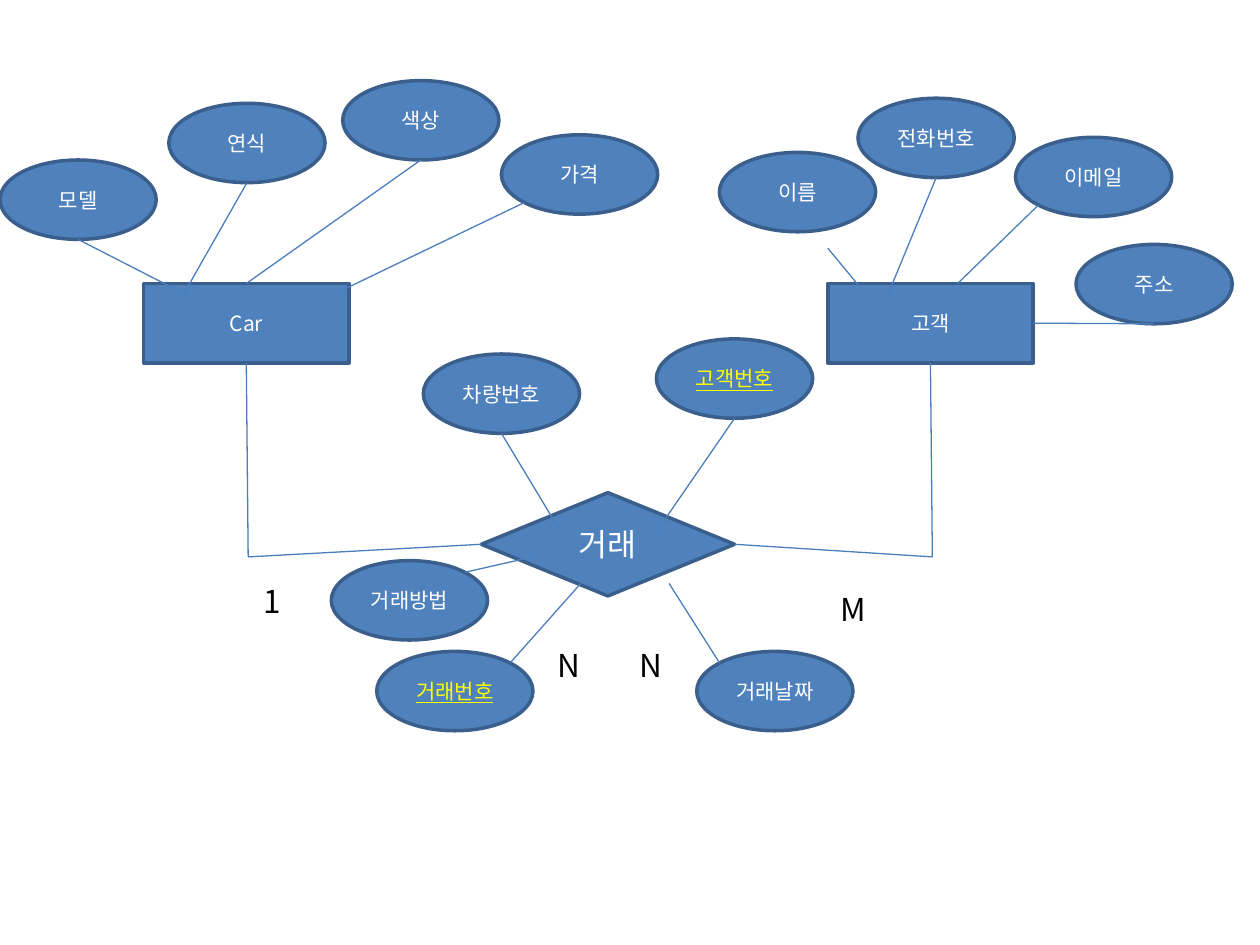
from dataclasses import dataclass
from math import cos, radians, sin

from lxml import etree
from pptx import Presentation
from pptx.dml.color import RGBColor
from pptx.enum.shapes import MSO_CONNECTOR, MSO_SHAPE
from pptx.enum.text import MSO_ANCHOR, MSO_AUTO_SIZE, PP_ALIGN
from pptx.oxml.ns import qn
from pptx.shapes.autoshape import Shape
from pptx.slide import Slide
from pptx.text.text import TextFrame
from pptx.util import Pt

STRAIGHT = MSO_CONNECTOR.STRAIGHT
RECTANGLE, OVAL, DIAMOND = MSO_SHAPE.RECTANGLE, MSO_SHAPE.OVAL, MSO_SHAPE.DIAMOND
MIDDLE = MSO_ANCHOR.MIDDLE
FIT_SHAPE = MSO_AUTO_SIZE.SHAPE_TO_FIT_TEXT
LEFT, CENTER = PP_ALIGN.LEFT, PP_ALIGN.CENTER

FONT = "Noto Sans CJK KR"
COLORS = {
    "fill": "4F81BD",
    "outline": "3A5F8C",
    "link": "4B7EBC",
    "text": "FFFFFF",
    "key": "FFFF00",
    "label": "000000",
}
OVAL_WIDTH, NODE_HEIGHT = 89.28, 45.36
ENTITY_WIDTH = 117.36
TOP, LEFT_SIDE, BOTTOM, RIGHT_SIDE = range(4)
Point = tuple[float, float]


@dataclass(frozen=True)
class Node:
    name: str
    left: float
    top: float
    width: float = ENTITY_WIDTH
    height: float = NODE_HEIGHT
    kind: MSO_SHAPE = RECTANGLE
    size: float = 12


@dataclass(frozen=True)
class Joint:
    node: str
    side: int


End = Point | Joint


@dataclass(frozen=True)
class Attribute:
    name: str
    left: float
    top: float
    target: End | None = None
    angle: float = 90
    key: bool = False

    def rim_point(self) -> Point:
        turn = radians(self.angle)
        return (
            self.left + OVAL_WIDTH / 2 * (1 + cos(turn)),
            self.top + NODE_HEIGHT / 2 * (1 + sin(turn)),
        )


@dataclass(frozen=True)
class Link:
    start: End
    end: End


@dataclass(frozen=True)
class Label:
    text: str
    left: float
    top: float
    width: float


NODES = [
    Node("Car", 82.08, 162),
    Node("고객", 473.04, 162),
    Node("거래", 275.04, 281.52, 144.72, 59.04, DIAMOND, 18),
]
ATTRIBUTES = [
    Attribute("모델", 0, 91.44, (105.12, 167.76)),
    Attribute("연식", 96.48, 59.04, (105.12, 167.76)),
    Attribute("색상", 195.84, 46.08, Joint("Car", TOP)),
    Attribute("가격", 286.56, 77.04, (191.52, 167.76), 135),
    Attribute("이름", 411.12, 87.12),
    Attribute("전화번호", 490.32, 56.16, (507.6, 167.76)),
    Attribute("이메일", 580.32, 78.48, (547.2, 162), 135),
    Attribute("주소", 614.88, 139.68, Joint("고객", RIGHT_SIDE)),
    Attribute("차량번호", 241.92, 202.32, (320.4, 303.84)),
    Attribute("고객번호", 375.12, 193.68, (375.12, 303.84), key=True),
    Attribute("거래번호", 215.28, 372.24, (331.92, 333.36), 315, key=True),
    Attribute("거래날짜", 398.16, 372.24, (382.32, 333.36), 225),
    Attribute("거래방법", 189.36, 320.4, (304.56, 318.24), 315),
]
CAR_CORNER, CUSTOMER_CORNER = (141.84, 318.24), (532.8, 318.24)
LINKS = [
    Link((473.04, 141.84), (490.32, 162.72)),
    Link(Joint("Car", BOTTOM), CAR_CORNER),
    Link(CAR_CORNER, Joint("거래", LEFT_SIDE)),
    Link(Joint("고객", BOTTOM), CUSTOMER_CORNER),
    Link(CUSTOMER_CORNER, Joint("거래", RIGHT_SIDE)),
]
LABELS = [
    Label("1", 143.28, 329.04, 23.76),
    Label("N", 311.76, 365.76, 28.08),
    Label("N", 358.56, 365.76, 28.08),
    Label("M", 473.04, 333.36, 30.96),
]


def color(name: str) -> RGBColor:
    return RGBColor.from_string(COLORS[name])


def write_text(frame: TextFrame, text: str, *, size: float, ink: str,
               align: PP_ALIGN = CENTER, underline: bool = False) -> None:
    para = frame.paragraphs[0]
    para.alignment = align
    span = para.add_run()
    span.text = text
    span.font.name = FONT
    span.font.size = Pt(size)
    span.font.color.rgb = color(ink)
    if underline:
        span.font.underline = True
    properties = span._r.get_or_add_rPr()
    etree.SubElement(properties, qn("a:ea")).set("typeface", FONT)


def draw_node(page: Slide, node: Node, key: bool = False) -> Shape:
    shape = page.shapes.add_shape(
        node.kind, Pt(node.left), Pt(node.top), Pt(node.width), Pt(node.height)
    )
    shape.shadow.inherit = False
    shape.fill.solid()
    shape.fill.fore_color.rgb = color("fill")
    shape.line.color.rgb = color("outline")
    shape.line.width = Pt(2)
    frame = shape.text_frame
    frame.word_wrap = True
    frame.vertical_anchor = MIDDLE
    frame.margin_left = frame.margin_right = Pt(0)
    write_text(frame, node.name, size=node.size,
               ink="key" if key else "text", underline=key)
    return shape


def draw_attribute(page: Slide, item: Attribute) -> None:
    oval = Node(item.name, item.left, item.top, OVAL_WIDTH, kind=OVAL)
    draw_node(page, oval, item.key)


def draw_link(page: Slide, link: Link, shapes: dict[str, Shape]) -> None:
    points = [(0, 0) if isinstance(end, Joint) else end for end in (link.start, link.end)]
    line = page.shapes.add_connector(
        STRAIGHT, *(Pt(value) for point in points for value in point)
    )
    if isinstance(link.start, Joint):
        line.begin_connect(shapes[link.start.node], link.start.side)
    if isinstance(link.end, Joint):
        line.end_connect(shapes[link.end.node], link.end.side)
    line.line.color.rgb = color("link")
    line.line.width = Pt(0.75)
    etree.SubElement(line._element.spPr, qn("a:effectLst"))


def draw_label(page: Slide, label: Label) -> None:
    box = page.shapes.add_textbox(
        Pt(label.left), Pt(label.top), Pt(label.width), Pt(28.8)
    )
    box.text_frame.word_wrap = True
    box.text_frame.auto_size = FIT_SHAPE
    write_text(box.text_frame, label.text, size=18, ink="label", align=LEFT)


def main() -> None:
    deck = Presentation()
    deck.slide_width, deck.slide_height = Pt(720), Pt(540)
    page = deck.slides.add_slide(deck.slide_layouts[6])
    shapes = {node.name: draw_node(page, node) for node in NODES}
    for item in ATTRIBUTES:
        draw_attribute(page, item)
    spokes = [Link(item.rim_point(), item.target) for item in ATTRIBUTES if item.target]
    for link in spokes + LINKS:
        draw_link(page, link, shapes)
    for label in LABELS:
        draw_label(page, label)
    deck.save("out.pptx")


if __name__ == "__main__":
    main()
